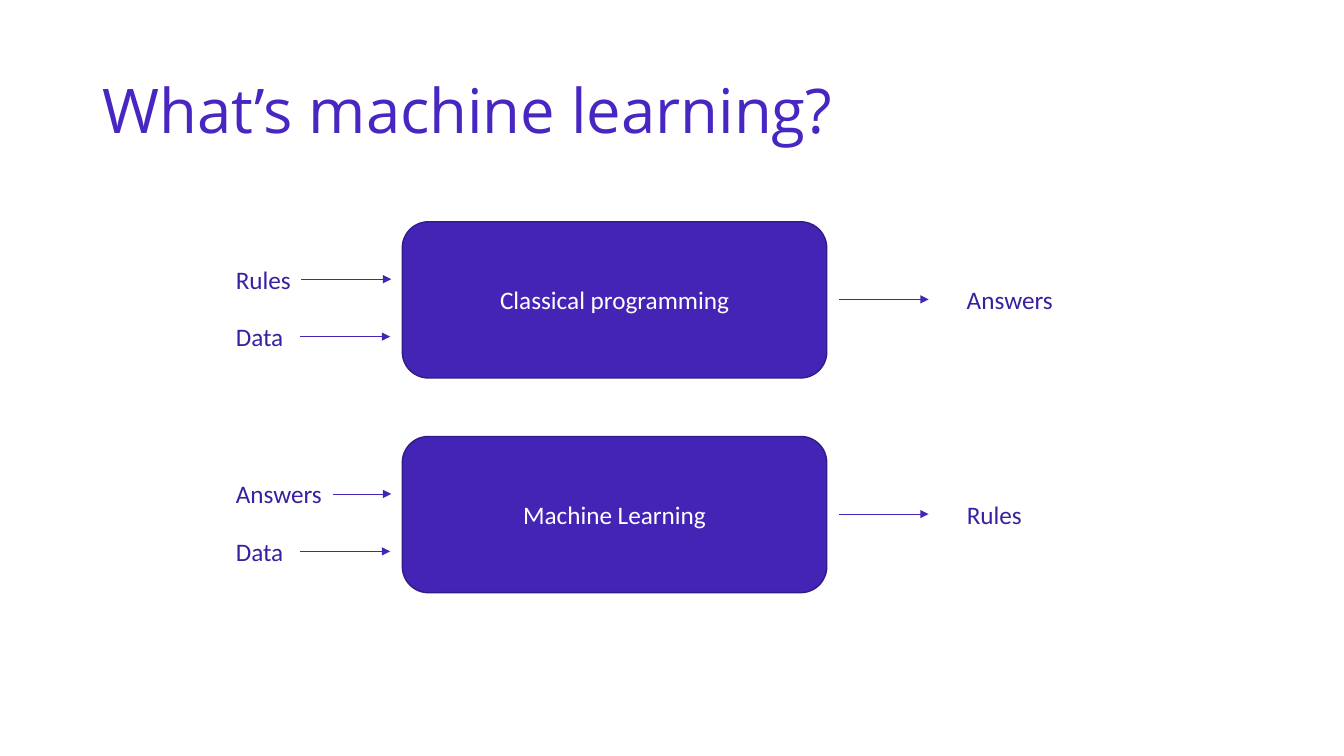
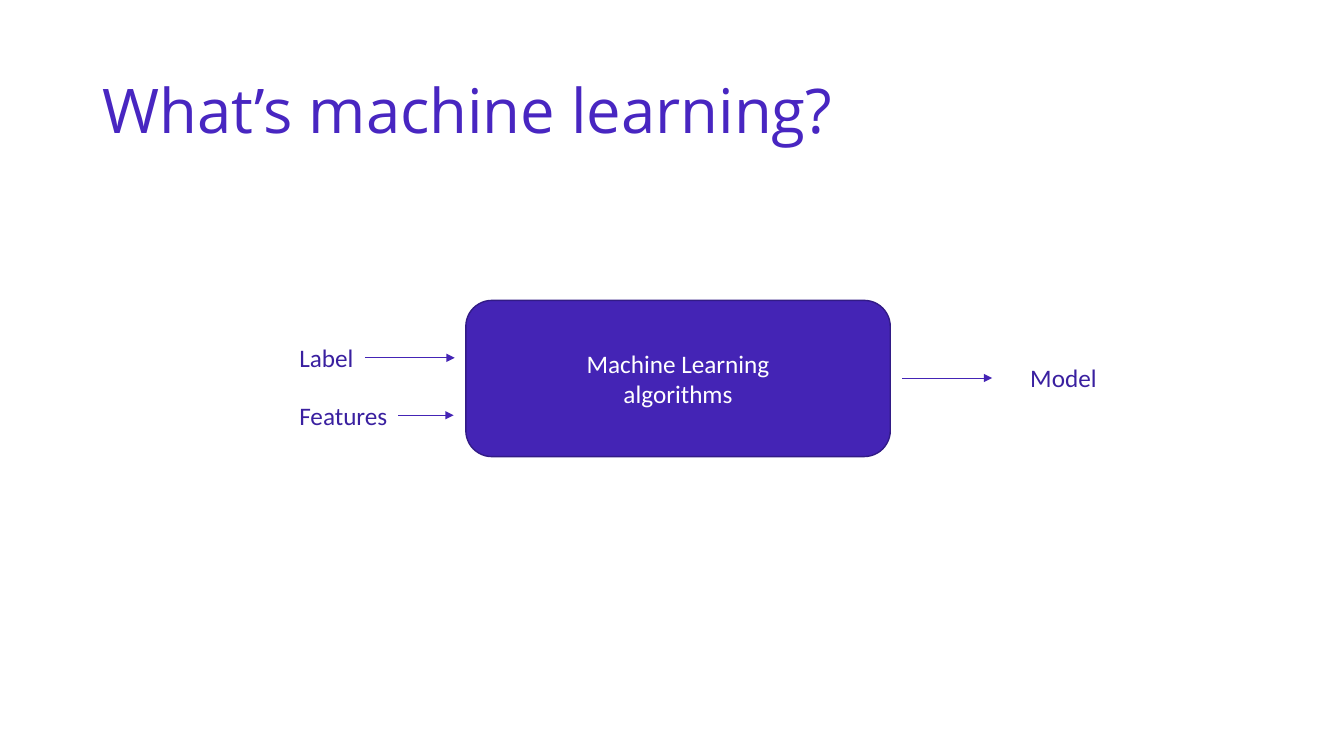
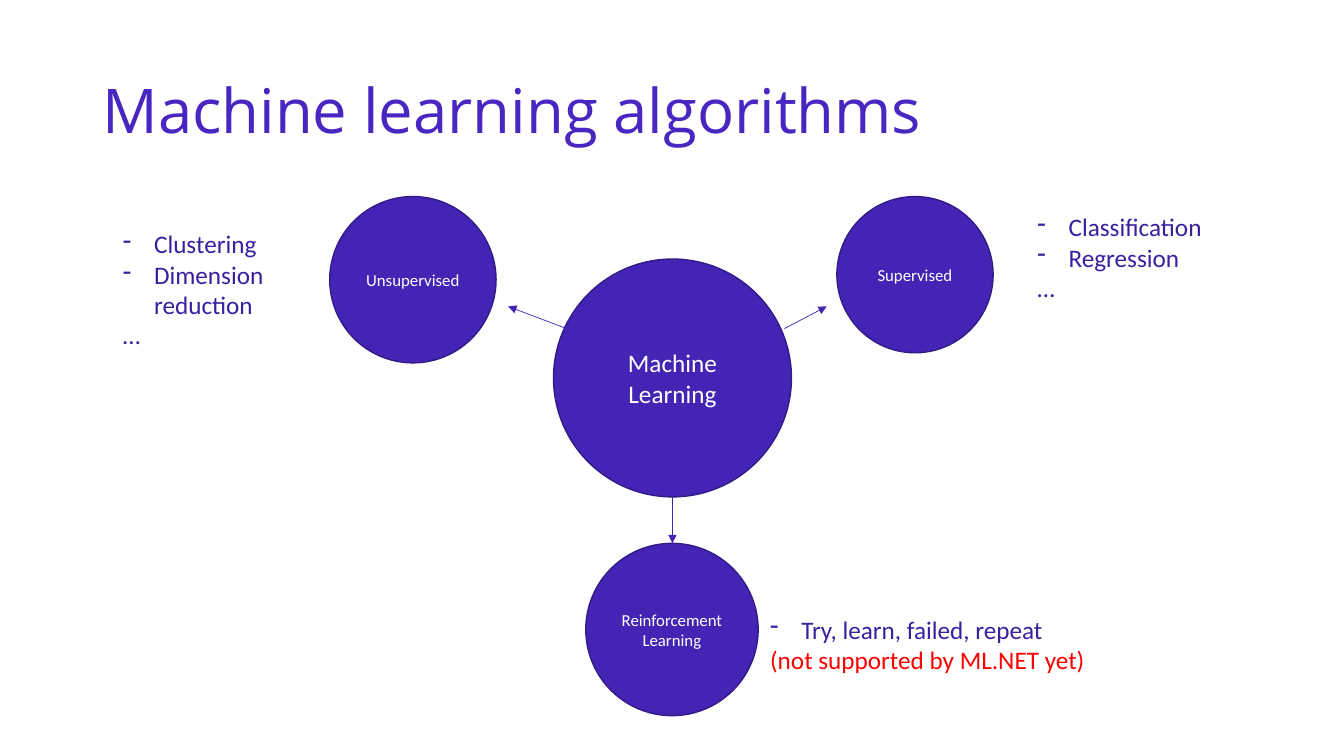
from pptx import Presentation
from pptx.dml.color import RGBColor
from pptx.enum.shapes import MSO_CONNECTOR, MSO_SHAPE
from pptx.enum.text import MSO_ANCHOR, MSO_AUTO_SIZE, PP_ALIGN
from pptx.oxml.ns import qn
from pptx.util import Inches, Pt
from lxml.etree import SubElement

HUES = {
    "title": "4826C1",
    "fill": "4424B5",
    "edge": "321B86",
    "text": "3A20A0",
    "white": "FFFFFF",
    "red": "FF0000",
}
RGB = {name: RGBColor.from_string(code) for name, code in HUES.items()}


def write(shape, lines, hue, size=18, face="Calibri", align=PP_ALIGN.LEFT):
    frame = shape.text_frame
    for i, line in enumerate(lines):
        para = frame.paragraphs[0] if i == 0 else frame.add_paragraph()
        para.text = line.removeprefix("- ")
        para.alignment = align
        if line.startswith("- "):
            props = para._p.get_or_add_pPr()
            props.set("marL", str(Inches(0.31)))
            props.set("indent", str(-Inches(0.31)))
            SubElement(props, qn("a:buFontTx"))
            SubElement(props, qn("a:buChar")).set("char", "-")
        para.font.size = Pt(size)
        para.font.name = face
        para.font.color.rgb = RGB[hue]
    return frame


def draw(slide, kind, box, lines, size=18):
    shape = slide.shapes.add_shape(kind, *map(Inches, box))
    shape.shadow.inherit = False
    shape.fill.solid()
    shape.fill.fore_color.rgb = RGB["fill"]
    shape.line.color.rgb = RGB["edge"]
    shape.line.width = Pt(1)
    frame = write(shape, lines, "white", size, align=PP_ALIGN.CENTER)
    frame.vertical_anchor = MSO_ANCHOR.MIDDLE


deck = Presentation()
deck.slide_width = Inches(13.33)
deck.slide_height = Inches(7.5)

slides = []
for title in ["What’s machine learning?", "What’s machine learning?", "Machine learning algorithms"]:
    slide = deck.slides.add_slide(deck.slide_layouts[6])
    head = slide.shapes.add_textbox(Inches(0.92), Inches(0.4), Inches(11.5), Inches(1.45))
    frame = write(head, [title], "title", 44, "Open Sans")
    frame.word_wrap = True
    frame.vertical_anchor = MSO_ANCHOR.MIDDLE
    frame.paragraphs[0].line_spacing = 0.9
    slides.append(slide)
first, second, third = slides

WIDTHS = {"Rules": 0.75, "Data": 0.68, "Answers": 1.06, "Label": 0.75, "Features": 1.08, "Model": 0.87}
flows = [
    (first, 3.99, 2.2, ["Classical programming"], ["Rules", "Data"], "Answers"),
    (first, 3.99, 4.33, ["Machine Learning"], ["Answers", "Data"], "Rules"),
    (second, 4.62, 2.98, ["Machine Learning", "algorithms"], ["Label", "Features"], "Model"),
]
notes = []
arrows = []
for slide, left, top, lines, inputs, output in flows:
    draw(slide, MSO_SHAPE.ROUNDED_RECTANGLE, (left, top, 4.21, 1.55), lines)
    start = left - 1.75
    for i, word in enumerate(inputs):
        row = top + 0.37 + 0.57 * i
        notes.append((slide, (start, row, WIDTHS[word], 0.4), [word], False))
        tail = start + max(WIDTHS[word], 0.74)
        arrows.append((slide, tail, row + 0.2, left - 0.11 - 0.01 * i, row + 0.2))
    notes.append((slide, (left + 5.5, top + 0.57, WIDTHS[output], 0.4), [output], False))
    arrows.append((slide, left + 4.33, top + 0.77, left + 5.22, top + 0.77))

for left, top, side, label, size in [
    (5.49, 2.57, 2.36, "Machine Learning", 18),
    (8.3, 1.95, 1.55, "Supervised", 12),
    (3.27, 1.95, 1.65, "Unsupervised", 12),
    (5.81, 5.39, 1.71, "Reinforcement Learning", 12),
]:
    draw(third, MSO_SHAPE.OVAL, (left, top, side, side), [label], size)

arrows += [
    (third, 5.62, 3.26, 5.04, 3.04),
    (third, 7.78, 3.26, 8.2, 3.04),
    (third, 6.67, 4.93, 6.67, 5.39),
]
notes += [
    (third, (10.19, 2.05, 1.85, 1.01), ["- Classification", "- Regression", "…"], False),
    (third, (1.12, 2.22, 1.81, 1.31), ["- Clustering", "- Dimension reduction", "…"], True),
    (third, (7.54, 6.04, 3.36, 0.71), ["- Try, learn, failed, repeat", "(not supported by ML.NET yet)"], False),
]

for slide, *ends in arrows:
    arrow = slide.shapes.add_connector(MSO_CONNECTOR.STRAIGHT, *map(Inches, ends))
    arrow.line.color.rgb = RGB["fill"]
    arrow.line.width = Pt(0.5)
    SubElement(arrow.line._get_or_add_ln(), qn("a:tailEnd")).set("type", "triangle")
    SubElement(arrow._element.spPr, qn("a:effectLst"))

for slide, box, lines, wrap in notes:
    note = slide.shapes.add_textbox(*map(Inches, box))
    frame = write(note, lines, "text")
    frame.word_wrap = wrap
    frame.auto_size = MSO_AUTO_SIZE.SHAPE_TO_FIT_TEXT
frame.paragraphs[-1].font.color.rgb = RGB["red"]

deck.save("out.pptx")
